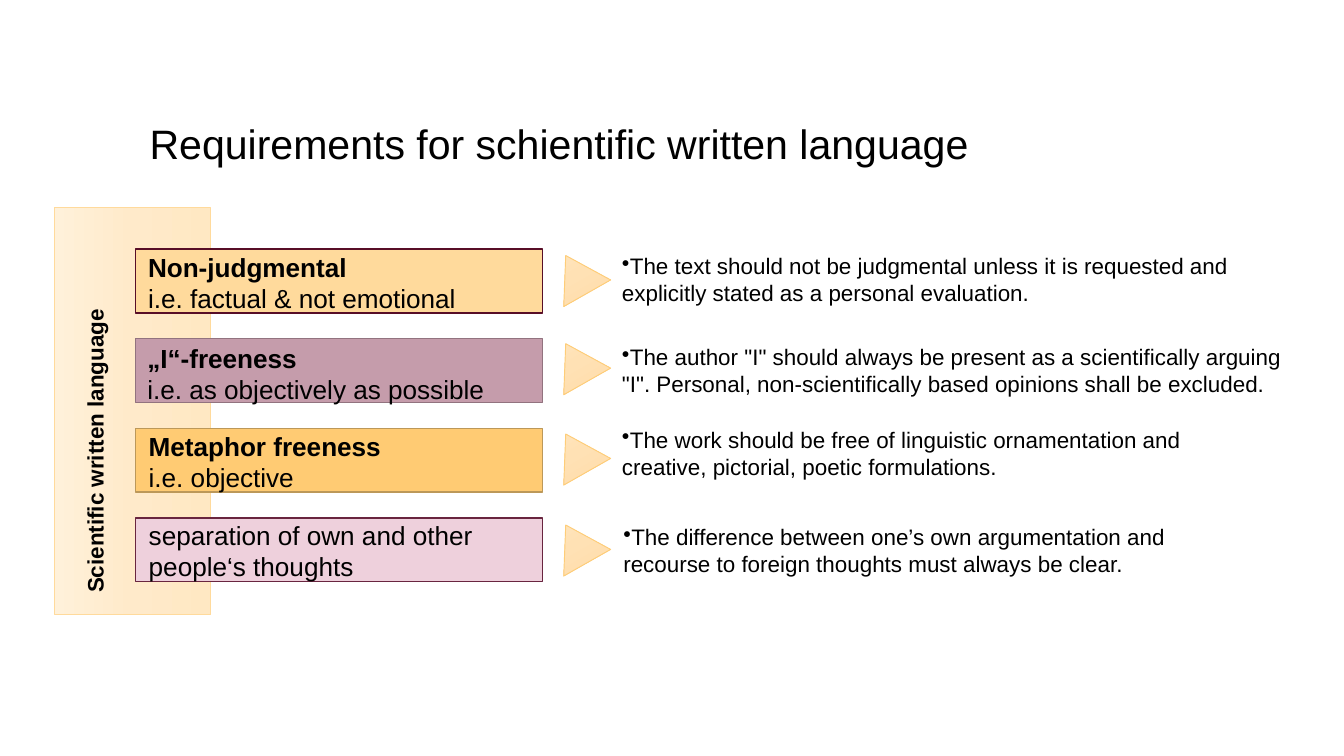
"""Build the slide on requirements for scientific written language."""
from copy import deepcopy

from lxml import etree
from pptx import Presentation
from pptx.dml.color import RGBColor
from pptx.enum.shapes import MSO_SHAPE
from pptx.enum.text import MSO_ANCHOR, MSO_AUTO_SIZE, PP_ALIGN
from pptx.oxml.ns import qn
from pptx.util import Pt

PX = 9525
RECTANGLE = MSO_SHAPE.RECTANGLE
TRIANGLE = MSO_SHAPE.ISOSCELES_TRIANGLE
MIDDLE = MSO_ANCHOR.MIDDLE
GROW = MSO_AUTO_SIZE.SHAPE_TO_FIT_TEXT
LEFT = PP_ALIGN.LEFT

BLACK = RGBColor(0x00, 0x00, 0x00)
APRICOT = RGBColor(0xFF, 0xDA, 0x9C)
MAUVE = RGBColor(0xC5, 0x9C, 0xAB)
AMBER = RGBColor(0xFF, 0xCB, 0x73)
PINK = RGBColor(0xEE, 0xD0, 0xDC)
WINE = RGBColor(0x58, 0x0E, 0x27)
PLUM = RGBColor(0x92, 0x73, 0x7F)
BRONZE = RGBColor(0xBC, 0x98, 0x59)
BERRY = RGBColor(0x69, 0x25, 0x3F)
ARROW_EDGE = RGBColor(0xFE, 0xCD, 0x78)
PANEL_STOPS = [RGBColor(0xFF, 0xF1, 0xDA), RGBColor(0xFF, 0xEA, 0xCA), RGBColor(0xFF, 0xE8, 0xC3)]
ARROW_STOPS = [RGBColor(0xFF, 0xE8, 0xC4), RGBColor(0xFF, 0xE1, 0xB4), RGBColor(0xFF, 0xDD, 0xA9)]

TITLE_FONT = {"name": "Arial", "size": Pt(44), "bold": False}
HEAD_FONT = {"name": "Arial", "size": Pt(28), "bold": True}
LABEL_FONT = {"name": "Arial", "size": Pt(28), "bold": False}
BODY_FONT = {"name": "Arial", "size": Pt(24), "bold": False}
SIDE_FONT = {"name": "Arial", "size": Pt(24), "bold": True}

CARD_TOP, CARD_PITCH = 356, 128
ROWS = [
    {"fill": APRICOT, "line": WINE, "arrow_top": 361,
     "label_area": (202, 354, 564, 100),
     "label": [("Non-judgmental", HEAD_FONT), ("i.e. factual & not emotional", LABEL_FONT)],
     "body_area": (879, 356, 888, 87),
     "body": "The text should not be judgmental unless it is requested and "
             "explicitly stated as a personal evaluation."},
    {"fill": MAUVE, "line": PLUM, "arrow_top": 487,
     "label_area": (201, 484, 564, 100),
     "label": [("„I“-freeness", HEAD_FONT), ("i.e. as objectively as possible", LABEL_FONT)],
     "body_area": (879, 486, 962, 87),
     "body": 'The author "I" should always be present as a scientifically arguing '
             '"I". Personal, non-scientifically based opinions shall be excluded.'},
    {"fill": AMBER, "line": BRONZE, "arrow_top": 616,
     "label_area": (203, 610, 581, 100),
     "label": [("Metaphor freeness", HEAD_FONT), ("i.e. objective", LABEL_FONT)],
     "body_area": (879, 604, 888, 87),
     "body": "The work should be free of linguistic ornamentation and "
             "creative, pictorial, poetic formulations."},
    {"fill": PINK, "line": BERRY, "arrow_top": 746,
     "label_area": (203, 737, 564, 100),
     "label": [("separation of own and other people‘s thoughts", LABEL_FONT)],
     "body_area": (881, 743, 836, 87),
     "body": "The difference between one’s own argumentation and "
             "recourse to foreign thoughts must always be clear."},
]


def add_block(kind, area, fill, line, width, rotation=0):
    shape = page.shapes.add_shape(kind, *(value * PX for value in area))
    shape.shadow.inherit = False
    shape.rotation = rotation
    shape.line.color.rgb = line
    shape.line.width = Pt(width)
    if isinstance(fill, RGBColor):
        shape.fill.solid()
        shape.fill.fore_color.rgb = fill
        return
    shape.fill.gradient()
    shape.fill.gradient_angle = 270
    first = shape._element.spPr.find(".//" + qn("a:gs"))
    first.addnext(deepcopy(first))
    for stop, color, position in zip(shape.fill.gradient_stops, fill, (0, 0.5, 1)):
        stop.color.rgb = color
        stop.position = position


def add_text(area, lines, bullet=False, rotation=0):
    box = page.shapes.add_textbox(*(value * PX for value in area))
    box.rotation = rotation
    frame = box.text_frame
    frame.word_wrap = True
    frame.auto_size = GROW
    for index, (text, style) in enumerate(lines):
        para = frame.add_paragraph() if index else frame.paragraphs[0]
        if bullet:
            settings = para._p.get_or_add_pPr()
            etree.SubElement(settings, qn("a:buChar")).set("char", "•")
        span = para.add_run()
        span.text = text
        span.font.color.rgb = BLACK
        for name, value in style.items():
            setattr(span.font, name, value)


deck = Presentation()
deck.slide_width, deck.slide_height = 1920 * PX, 1080 * PX
page = deck.slides.add_slide(deck.slide_layouts[5])

title = page.shapes.title
title.left, title.top, title.width, title.height = (value * PX for value in (204, 139, 1512, 132))
title.text_frame.text = "Requirements for schientific written language"
title.text_frame.vertical_anchor = MIDDLE
heading = title.text_frame.paragraphs[0]
heading.alignment = LEFT
heading.font.color.rgb = BLACK
for name, value in TITLE_FONT.items():
    setattr(heading.font, name, value)

add_block(RECTANGLE, (-101, 476, 581, 223), PANEL_STOPS, APRICOT, 1, 270)

for index, row in enumerate(ROWS):
    card_area = (194, CARD_TOP + index * CARD_PITCH, 581, 91)
    add_block(RECTANGLE, card_area, row["fill"], row["line"], 1.5)
    add_block(TRIANGLE, (785, row["arrow_top"], 77, 62), ARROW_STOPS, ARROW_EDGE, 1, 330.4)
    add_text(row["body_area"], [(row["body"], BODY_FONT)], bullet=True)
    add_text(row["label_area"], row["label"])

add_text((-155, 542, 581, 48), [("Scientific written language", SIDE_FONT)], rotation=270)

deck.save("out.pptx")
